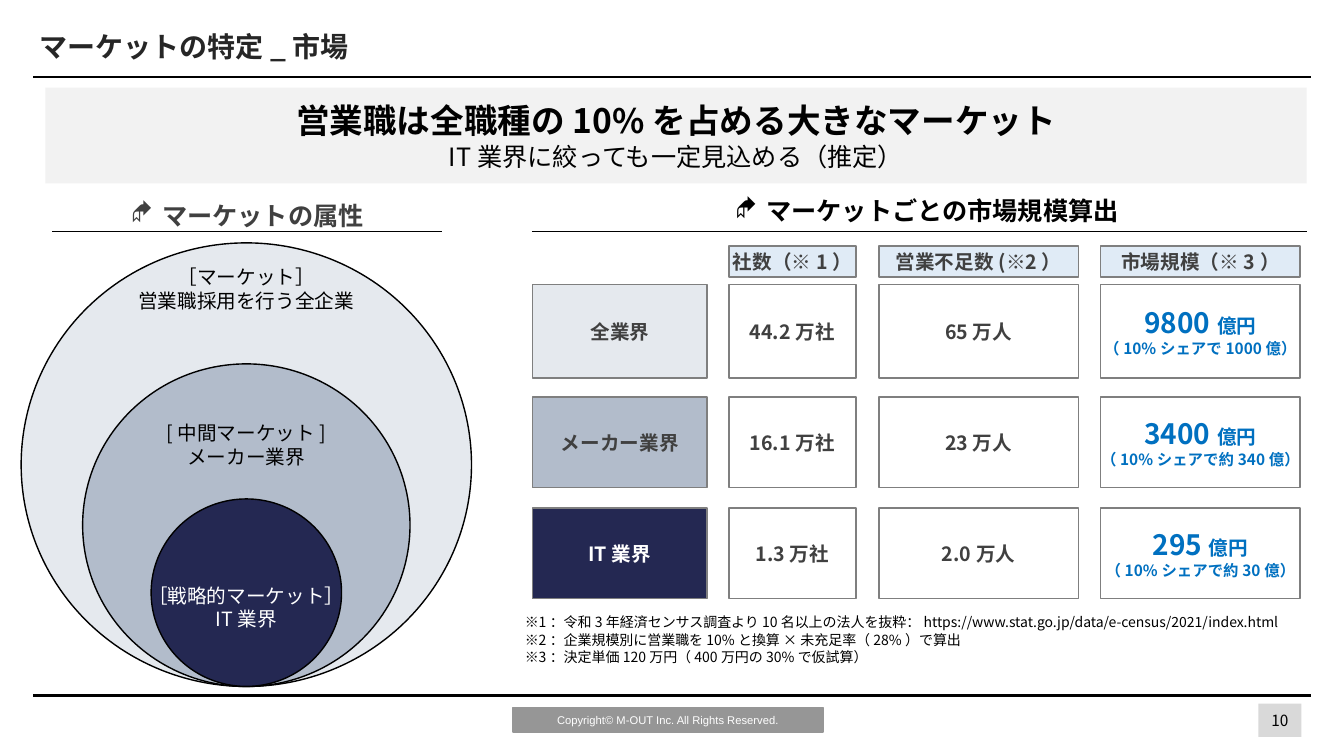
from lxml.etree import SubElement as Sub
from pptx import Presentation
from pptx.dml.color import RGBColor as RGB
from pptx.enum.shapes import MSO_CONNECTOR as LINK, MSO_SHAPE as FORM
from pptx.enum.text import MSO_ANCHOR as ANC, MSO_AUTO_SIZE as AUTO, PP_ALIGN as AL
from pptx.oxml.ns import qn
from pptx.util import Inches, Pt

BLACK = RGB(0x00, 0x00, 0x00)
WHITE = RGB(0xFF, 0xFF, 0xFF)
INK = RGB(0x26, 0x26, 0x26)
DARK = RGB(0x40, 0x40, 0x40)
EDGE = RGB(0x7F, 0x7F, 0x7F)
GRAY = RGB(0x96, 0x96, 0x96)
PAGE = RGB(0xD9, 0xD9, 0xD9)
PALE = RGB(0xF2, 0xF2, 0xF2)
HEAD = RGB(0xE0, 0xEB, 0xF6)
MIST = RGB(0xE5, 0xE9, 0xEE)
STEEL = RGB(0xB2, 0xBC, 0xCB)
NAVY = RGB(0x24, 0x28, 0x52)
BLUE = RGB(0x00, 0x70, 0xC0)


class Deck:
    """Places elements by percent of the slide's width and height."""
    font = "Noto Sans CJK JP"
    lead = 1.22

    def __init__(self, wide, high):
        self.prs = Presentation()
        self.prs.slide_width = Inches(wide)
        self.prs.slide_height = Inches(high)
        self.slide = self.prs.slides.add_slide(self.prs.slide_layouts[5])
        self.shapes = self.slide.shapes

    def x(self, part):
        return int(self.prs.slide_width * part / 100)

    def y(self, part):
        return int(self.prs.slide_height * part / 100)

    def box(self, left, top, wide, high):
        return self.x(left), self.y(top), self.x(wide), self.y(high)

    def label(self, shape, lines, color=BLACK, bold=False, align=AL.CENTER,
              anchor=ANC.MIDDLE, pad=0.04, wrap=False, font=None, mark=None):
        """Each line is a list of (text, size) or (text, size, bold) runs."""
        frame = shape.text_frame
        frame.auto_size = AUTO.NONE
        frame.word_wrap = wrap
        frame.vertical_anchor = anchor
        frame.margin_left = frame.margin_right = Inches(pad)
        frame.margin_top = frame.margin_bottom = Inches(min(pad, 0.05))
        frame.text = "\n".join(line[0][0] for line in lines)
        for para, line in zip(frame.paragraphs, lines):
            if mark:
                self.bullet(para, mark, color)
            para.alignment = align
            para.line_spacing = Pt(self.lead * max(part[1] for part in line))
            for text, *_ in line[1:]:
                para.add_run().text = text
            for run, (_, size, *own) in zip(para.runs, line):
                run.font.size = Pt(size)
                run.font.bold = own[0] if own else bold
                run.font.color.rgb = color
                run.font.name = font or self.font
                Sub(run.font._element, qn("a:ea"), typeface=font or self.font)

    def bullet(self, para, mark, color):
        props = para._p.get_or_add_pPr()
        props.set("marL", str(Inches(0.31)))
        props.set("indent", str(-Inches(0.31)))
        Sub(Sub(props, qn("a:buClr")), qn("a:srgbClr"), val=str(color))
        Sub(props, qn("a:buFont"), typeface="Wingdings")
        Sub(props, qn("a:buChar"), char=mark)

    def title(self, area, text):
        shape = self.shapes.title
        shape.left, shape.top, shape.width, shape.height = self.box(*area)
        self.label(shape, [[(text, 20)]], INK, True, AL.LEFT, pad=0.1, wrap=True)

    def text(self, area, lines, **style):
        self.label(self.shapes.add_textbox(*self.box(*area)), lines, **style)

    def form(self, area, fill, edge=None, lines=None, kind=FORM.RECTANGLE, **style):
        shape = self.shapes.add_shape(kind, *self.box(*area))
        shape.shadow.inherit = False
        shape.fill.solid()
        shape.fill.fore_color.rgb = fill
        if edge is None:
            shape.line.fill.background()
        else:
            shape.line.color.rgb = edge
            shape.line.width = Pt(1)
        if lines:
            self.label(shape, lines, **style)

    def rule(self, left, right, top, width):
        line = self.shapes.add_connector(LINK.STRAIGHT, self.x(left), self.y(top),
                                         self.x(right), self.y(top))
        line.line.color.rgb = BLACK
        line.line.width = Pt(width)
        Sub(line._element.spPr, qn("a:effectLst"))


def main():
    deck = Deck(13.34, 7.5)

    # Page frame
    deck.title((2.17, 2.4, 76.16, 7.33), "マーケットの特定_市場")
    for top in (10.13, 92):
        deck.rule(2.47, 97.53, top, 1.5)
    deck.form((38.16, 93.6, 23.09, 3.25), GRAY, GRAY,
              [[("Copyright© M-OUT Inc. All Rights Reserved.", 8)]],
              color=WHITE, font="Arial")
    deck.form((93.63, 93.07, 3.2, 4.4), PAGE, lines=[[("10", 11)]])

    # Key message
    deck.form((3.37, 11.6, 93.85, 12.67), PALE, lines=[
        [("営業職は全職種の10%を占める大きなマーケット", 24, True)],
        [("IT業界に絞っても一定見込める（推定）", 18)]])

    # Section headings
    deck.text((1.53, 26.27, 33.74, 4.27), [[("マーケットの属性", 18)]],
              color=DARK, bold=True, mark="◆")
    deck.rule(3.9, 32.91, 30.53, 0.25)
    deck.text((47.68, 25.2, 42.58, 5.2), [[("マーケットごとの市場規模算出", 18)]],
              bold=True, mark="◆")
    deck.rule(39.58, 97.23, 30.53, 0.25)

    # Nested markets: circles share a centre line and a base
    mid, base, tall = 18.33, 90.8, 8
    rings = [
        (33.51, 58.67, MIST, BLACK, 38.2, "［マーケット］", "営業職採用を行う全企業"),
        (24.36, 42.67, STEEL, BLACK, 58.8, "[中間マーケット]", "メーカー業界"),
        (14.17, 24.8, NAVY, WHITE, 80.3, "［戦略的マーケット］", "IT業界"),
    ]
    for wide, high, fill, ink, spot, *words in rings:
        left = mid - wide / 2
        deck.form((left, base - high, wide, high), fill, BLACK, kind=FORM.OVAL)
        deck.text((left, spot - tall / 2, wide, tall),
                  [[(word, 14)] for word in words], color=ink)

    # Market size grid
    cols = [(39.62, 13), (54.24, 9.45), (65.4, 14.84), (81.9, 14.84)]
    rows = [(37.6, 12.4), (52.53, 12), (67.2, 12)]
    heads = ["社数（※1）", "営業不足数(※2）", "市場規模（※3）"]
    sizes = [
        (MIST, DARK, "全業界", "44.2万社", "65万人", "9800", "（10%シェアで1000億）"),
        (STEEL, DARK, "メーカー業界", "16.1万社", "23万人", "3400", "（10%シェアで約340億）"),
        (NAVY, WHITE, "IT業界", "1.3万社", "2.0万人", "295", "（10%シェアで約30億）"),
    ]
    for (left, wide), head in zip(cols[1:], heads):
        deck.form((left, 32.53, wide, 4.13), HEAD, EDGE, [[(head, 14)]],
                  color=DARK, bold=True)
    for (top, high), (fill, ink, name, firms, staff, total, share) in zip(rows, sizes):
        cells = [
            (fill, ink, [[(name, 14)]]),
            (WHITE, DARK, [[(firms, 14)]]),
            (WHITE, DARK, [[(staff, 14)]]),
            (WHITE, BLUE, [[(total, 20), ("億円", 14)], [(share, 11)]]),
        ]
        for (left, wide), (back, tone, lines) in zip(cols, cells):
            deck.form((left, top, wide, high), back, EDGE, lines,
                      color=tone, bold=True)

    # Footnotes
    notes = [
        "※1：令和3年経済センサス調査より10名以上の法人を抜粋："
        "https://www.stat.go.jp/data/e-census/2021/index.html",
        "※2：企業規模別に営業職を10%と換算×未充足率（28%）で算出",
        "※3：決定単価120万円（400万円の30%で仮試算）",
    ]
    deck.text((38.31, 80.53, 60.12, 8), [[(note, 10)] for note in notes],
              align=AL.LEFT, anchor=ANC.TOP, pad=0.1, wrap=True)

    deck.prs.save("out.pptx")


if __name__ == "__main__":
    main()
